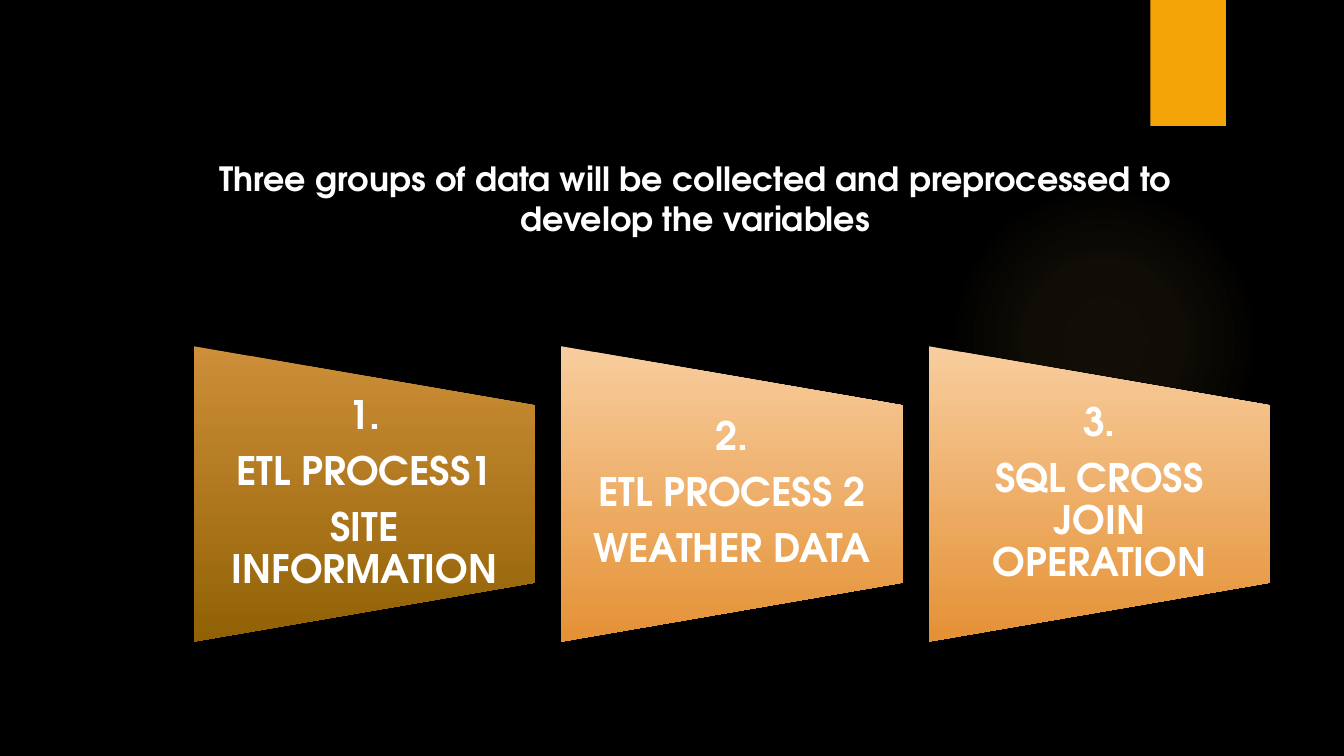
from lxml import etree
from pptx import Presentation
from pptx.dml.color import RGBColor
from pptx.enum.shapes import MSO_SHAPE
from pptx.enum.text import MSO_ANCHOR, MSO_AUTO_SIZE, PP_ALIGN
from pptx.oxml.ns import qn
from pptx.util import Inches, Pt

ELLIPSE = MSO_SHAPE.OVAL
RECTANGLE = MSO_SHAPE.RECTANGLE
TRAPEZOID = MSO_SHAPE.FLOWCHART_MANUAL_OPERATION
CENTER = PP_ALIGN.CENTER
TOP = MSO_ANCHOR.TOP
MIDDLE = MSO_ANCHOR.MIDDLE
NO_AUTOFIT = MSO_AUTO_SIZE.NONE

FONT = "TeX Gyre Adventor"
COLORS = {
    "background": "000000",
    "text": "FFFFFF",
    "tab": "F5A408",
    "glow": "FAC96A",
    "shadow": "000000",
    "dark_top": "CD8F39",
    "dark_bottom": "916105",
    "light_top": "F8CD9E",
    "light_bottom": "E49135",
}
STEPS = [
    (["1.", "ETL PROCESS1", "SITE INFORMATION"], "dark"),
    (["2.", "ETL PROCESS 2", "WEATHER DATA"], "light"),
    (["3.", "SQL CROSS JOIN OPERATION"], "light"),
]
STEP_LEFT, STEP_PITCH = 1.92, 3.645
STEP_WIDTH, STEP_HEIGHT, STEP_MIDDLE = 3.39, 2.93, 4.9
STEP_TEXT_HEIGHT = 1.76


def add_color(parent, name, alpha):
    """Append a colour with an opacity in percent to an XML parent."""
    color = etree.SubElement(parent, qn("a:srgbClr"), val=COLORS[name])
    if alpha < 100:
        etree.SubElement(color, qn("a:alpha"), val=str(alpha * 1000))


def set_gradient(shape, stops, radial=False):
    """Fill a shape with (position, colour, opacity) stops."""
    shape.fill.gradient()
    gradient = shape._element.spPr.find(qn("a:gradFill"))
    for child in list(gradient):
        gradient.remove(child)
    gradient.set("rotWithShape", "0")
    stop_list = etree.SubElement(gradient, qn("a:gsLst"))
    for position, name, alpha in stops:
        stop = etree.SubElement(stop_list, qn("a:gs"), pos=str(position * 1000))
        add_color(stop, name, alpha)
    if radial:
        center = etree.SubElement(gradient, qn("a:path"), path="circle")
        sides = dict.fromkeys("ltrb", "50000")
        etree.SubElement(center, qn("a:fillToRect"), **sides)
    else:
        etree.SubElement(gradient, qn("a:lin"), ang="5400000", scaled="0")


def set_shadow(shape):
    """Give a shape a soft shadow that falls straight down."""
    effects = shape._element.spPr.find(qn("a:effectLst"))
    shadow = etree.SubElement(
        effects, qn("a:outerShdw"), blurRad=str(Pt(3)), dist=str(Pt(2)),
        dir="5400000", rotWithShape="0")
    add_color(shadow, "shadow", 45)


def add_plain_shape(slide, kind, left, top, width, height):
    """Add a preset shape without outline or shadow."""
    shape = slide.shapes.add_shape(
        kind, Inches(left), Inches(top), Inches(width), Inches(height))
    shape.line.fill.background()
    shape.shadow.inherit = False
    return shape


def write_text(shape, lines, size, anchor, inset, line_spacing=1.0, space_after=0):
    """Write bold centred paragraphs; inset is (horizontal, vertical)."""
    frame = shape.text_frame
    frame.word_wrap = True
    frame.auto_size = NO_AUTOFIT
    frame.vertical_anchor = anchor
    frame.margin_left = frame.margin_right = Inches(inset[0])
    frame.margin_top = frame.margin_bottom = Inches(inset[1])
    for index, line in enumerate(lines):
        paragraph = frame.add_paragraph() if index else frame.paragraphs[0]
        paragraph.alignment = CENTER
        paragraph.line_spacing = line_spacing
        paragraph.space_before = Pt(0)
        paragraph.space_after = Pt(space_after)
        run = paragraph.add_run()
        run.text = line
        run.font.name = FONT
        run.font.size = Pt(size)
        run.font.bold = True
        run.font.color.rgb = RGBColor.from_string(COLORS["text"])


def add_decoration(slide):
    """Add the faint glow and the tab at the top edge."""
    glow = add_plain_shape(slide, ELLIPSE, 9.41, 1.83, 3.08, 3.08)
    set_gradient(glow, [(0, "glow", 7), (36, "glow", 6), (69, "glow", 0)], radial=True)
    tab = add_plain_shape(slide, RECTANGLE, 11.41, 0, 0.75, 1.25)
    tab.fill.solid()
    tab.fill.fore_color.rgb = RGBColor.from_string(COLORS["tab"])
    set_shadow(tab)


def add_title(slide, text):
    """Place and fill the title placeholder."""
    title = slide.shapes.title
    title.left, title.top = Inches(1.62), Inches(1.52)
    title.width, title.height = Inches(10.55), Inches(0.8)
    write_text(title, [text], 23.8, TOP, (0.1, 0.05))


def add_step(slide, left, lines, tone):
    """Add one sideways trapezoid with its label."""
    trapezoid = add_plain_shape(
        slide, TRAPEZOID, left + (STEP_WIDTH - STEP_HEIGHT) / 2,
        STEP_MIDDLE - STEP_WIDTH / 2, STEP_HEIGHT, STEP_WIDTH)
    trapezoid.rotation = 270
    set_gradient(trapezoid, [(0, f"{tone}_top", 100), (100, f"{tone}_bottom", 100)])
    set_shadow(trapezoid)
    label = slide.shapes.add_textbox(
        Inches(left), Inches(STEP_MIDDLE - STEP_TEXT_HEIGHT / 2),
        Inches(STEP_WIDTH), Inches(STEP_TEXT_HEIGHT))
    write_text(label, lines, 28, MIDDLE, (0.19, 0), line_spacing=0.9, space_after=9.8)


def main():
    """Build the slide and save it."""
    presentation = Presentation()
    presentation.slide_width = Inches(13.33)
    presentation.slide_height = Inches(7.5)
    slide = presentation.slides.add_slide(presentation.slide_layouts[5])
    background = slide.background.fill
    background.solid()
    background.fore_color.rgb = RGBColor.from_string(COLORS["background"])
    add_decoration(slide)
    add_title(slide, "Three groups of data will be collected and preprocessed "
                     "to develop the variables")
    for index, (lines, tone) in enumerate(STEPS):
        add_step(slide, STEP_LEFT + index * STEP_PITCH, lines, tone)
    presentation.save("out.pptx")


if __name__ == "__main__":
    main()
